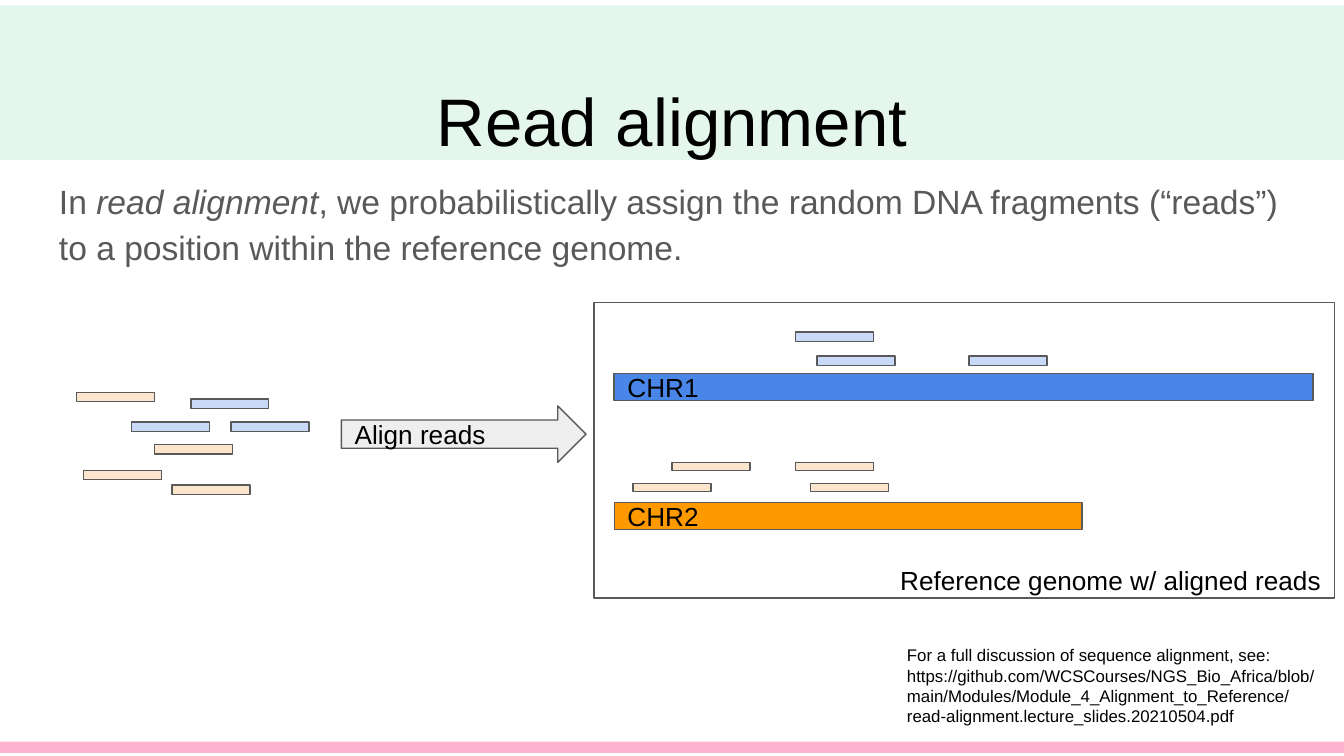
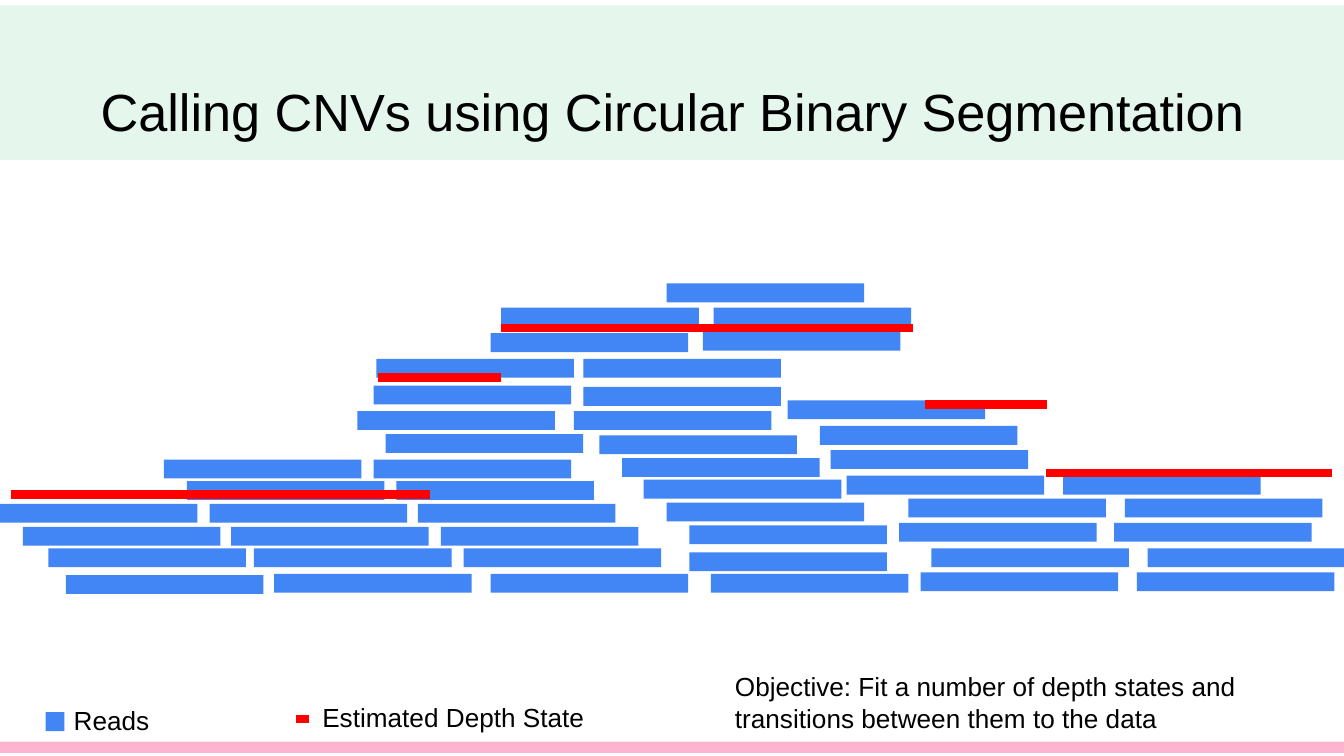
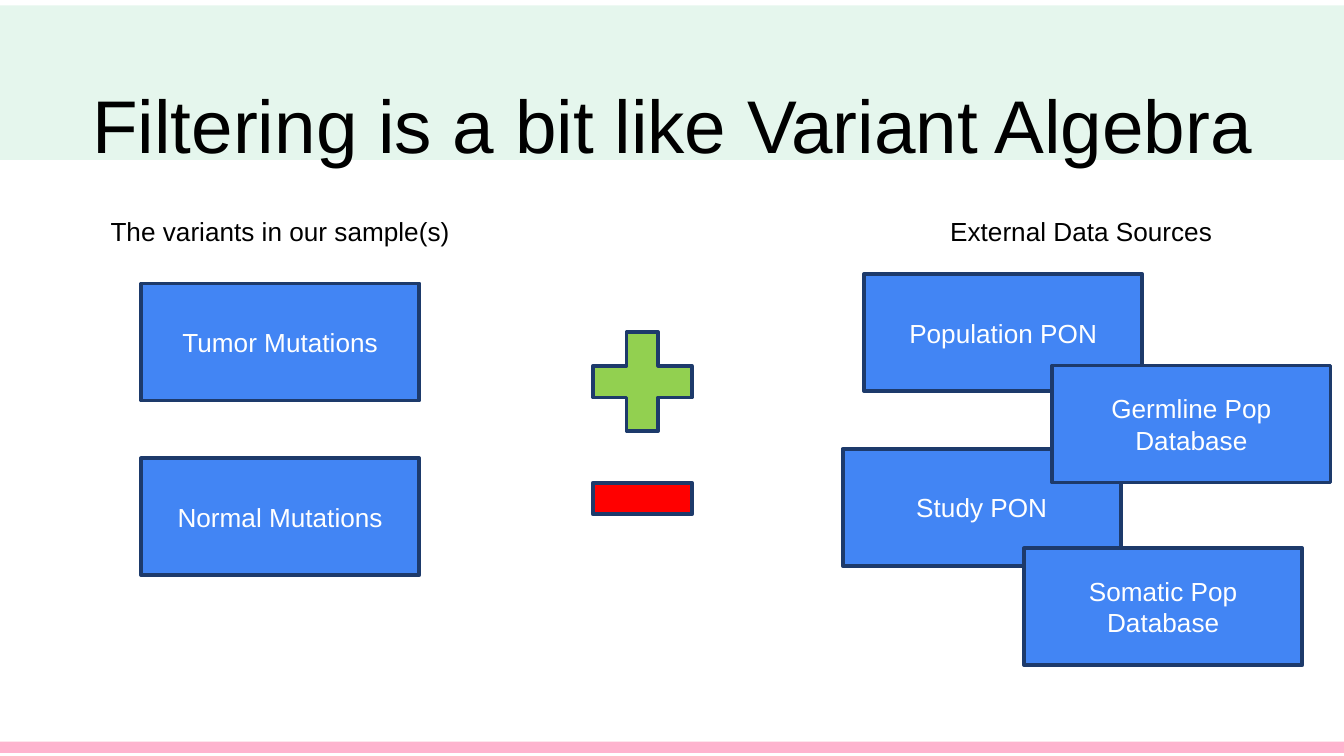
"""Build three genomics teaching slides on alignment, CNV calling and filtering."""
from dataclasses import dataclass

from lxml.etree import SubElement
from pptx import Presentation
from pptx.dml.color import RGBColor
from pptx.enum.shapes import MSO_CONNECTOR, MSO_SHAPE
from pptx.enum.text import MSO_ANCHOR, MSO_AUTO_SIZE, PP_ALIGN
from pptx.oxml.ns import qn
from pptx.util import Emu, Pt

PX = 9144
SLIDE_WIDTH = 1000


@dataclass(frozen=True)
class Theme:
    font: str = "Arial"
    black: str = "000000"
    white: str = "FFFFFF"
    grey: str = "595959"
    band: str = "00B050"
    footer: str = "FD337B"
    read: str = "4285F4"
    depth: str = "FF0000"
    navy: str = "1D3A6B"
    arrow: str = "EEEEEE"
    plus: str = "92D050"
    chr1: str = "4A86E8"
    chr1_read: str = "C9DAF8"
    chr2: str = "FF9900"
    chr2_read: str = "FCE5CD"
    band_alpha: int = 10
    footer_alpha: int = 36
    body_size: int = 18
    label_size: int = 14
    source_size: int = 9
    thin: float = 0.75
    outline: float = 2
    depth_width: float = 4.5
    footer_width: float = 6


THEME = Theme()

ALIGNMENT_TITLE = ("Read alignment", 36)
ALIGNMENT_INTRO = [
    ("In ", False),
    ("read alignment", True),
    (", we probabilistically assign the random DNA fragments (“reads”) "
     "to a position within the reference genome.", False),
]
ALIGNMENT_SOURCE = (
    "For a full discussion of sequence alignment, see: "
    "https://github.com/WCSCourses/NGS_Bio_Africa/blob/main/Modules/"
    "Module_4_Alignment_to_Reference/read-alignment.lecture_slides.20210504.pdf"
)
CHROMOSOMES = [
    {"name": "CHR1", "box": (457, 278, 520, 20), "color": THEME.chr1,
     "read_color": THEME.chr1_read, "aligned_height": 7,
     "unaligned": [(98, 314), (142, 297), (172, 314)],
     "aligned": [(592, 247), (608, 265), (721, 265)]},
    {"name": "CHR2", "box": (457, 374, 348, 20), "color": THEME.chr2,
     "read_color": THEME.chr2_read, "aligned_height": 6,
     "unaligned": [(115, 331), (57, 292), (62, 350), (128, 361)],
     "aligned": [(592, 344), (471, 360), (500, 344), (603, 360)]},
]
FRAGMENT_WIDTH, FRAGMENT_HEIGHT = 58, 7

CNV_TITLE = ("Calling CNVs using Circular Binary Segmentation", 28)
READ_WIDTH, READ_HEIGHT = 147, 14
READ_LEFTS_BY_TOP = {
    211: [496],
    229: [373, 531],
    247: [523],
    248: [365],
    267: [280, 434],
    287: [278],
    288: [434],
    298: [586],
    306: [266, 427],
    317: [610],
    323: [287],
    324: [446],
    335: [618],
    341: [463],
    342: [122, 278],
    354: [630, 791],
    357: [479],
    358: [139, 295],
    371: [676, 837],
    374: [496],
    375: [0, 156, 311],
    389: [669, 829],
    391: [513],
    392: [17, 172, 328],
    408: [36, 189, 345, 693, 854],
    411: [513],
    426: [685, 846],
    427: [204, 365, 529],
    428: [49],
}
DEPTH_STATES = [(8, 320, 368), (281, 373, 281), (373, 679, 244),
                (778, 991, 352), (688, 779, 301)]
DEPTH_KEY = (220, 230, 535)
READ_KEY = (34, 530, 14, 14)
LEGEND = [("Reads", (45, 519, 77, 34)),
          ("Estimated Depth State", (230, 517, 216, 34))]
OBJECTIVE = ("Objective: Fit a number of depth states and transitions "
             "between them to the data")

FILTER_TITLE = ("Filtering is a bit like Variant Algebra", 40)
FILTER_HEADINGS = [("The variants in our sample(s)", 66),
                   ("External Data Sources", 662)]
VARIANT_SETS = [
    ("Normal Mutations", 105, 341),
    ("Population PON", 643, 204),
    ("Study PON", 627, 334),
    ("Tumor Mutations", 105, 211),
    ("Germline Pop Database", 783, 272),
    ("Somatic Pop Database", 762, 408),
]
OPERATORS = [(MSO_SHAPE.MATH_PLUS, 234, THEME.plus),
             (MSO_SHAPE.MATH_MINUS, 321, THEME.depth)]


def emu(*lengths):
    """Turn px lengths into EMU."""
    return [Emu(length * PX) for length in lengths]


def rgb(color):
    """Turn a hex string into a colour."""
    return RGBColor.from_string(color)


def set_alpha(shape, percent):
    """Make the explicit colours of a shape partly transparent."""
    for color in shape.element.iter(qn("a:srgbClr")):
        SubElement(color, qn("a:alpha"), val=str(percent * 1000))


def write(shape, content, size, color=THEME.black, align=PP_ALIGN.LEFT,
          inset=10, spacing=None):
    """Write one paragraph, given as a string or as (text, italic) parts."""
    frame = shape.text_frame
    frame.margin_left, frame.margin_right = emu(10, 10)
    frame.margin_top, frame.margin_bottom = emu(inset, inset)
    paragraph = frame.paragraphs[0]
    paragraph.alignment = align
    if spacing:
        paragraph.line_spacing = spacing
    paragraph.font.name = THEME.font
    paragraph.font.size = Pt(size)
    paragraph.font.color.rgb = rgb(color)
    parts = [(content, False)] if isinstance(content, str) else content
    for text, italic in parts:
        run = paragraph.add_run()
        run.text = text
        if italic:
            run.font.italic = True


def add_text(slide, box, content, size, wrap=True, grow=True, **style):
    """Add a text box."""
    label = slide.shapes.add_textbox(*emu(*box))
    label.text_frame.word_wrap = wrap
    label.text_frame.auto_size = (
        MSO_AUTO_SIZE.SHAPE_TO_FIT_TEXT if grow else MSO_AUTO_SIZE.NONE)
    write(label, content, size, **style)


def add_block(slide, box, fill=None, line=None, width=THEME.thin,
              kind=MSO_SHAPE.RECTANGLE, content=None, **style):
    """Add a preset shape, optionally with a label in its middle."""
    block = slide.shapes.add_shape(kind, *emu(*box))
    block.shadow.inherit = False
    if fill:
        block.fill.solid()
        block.fill.fore_color.rgb = rgb(fill)
    else:
        block.fill.background()
    if line:
        block.line.color.rgb = rgb(line)
        block.line.width = Pt(width)
    else:
        block.line.fill.background()
    if content:
        block.text_frame.vertical_anchor = MSO_ANCHOR.MIDDLE
        write(block, content, THEME.label_size, **style)
    return block


def add_rule(slide, left, right, top, color, width):
    """Add a horizontal line."""
    rule = slide.shapes.add_connector(
        MSO_CONNECTOR.STRAIGHT, *emu(left, top, right, top))
    rule.line.color.rgb = rgb(color)
    rule.line.width = Pt(width)
    SubElement(rule.element.spPr, qn("a:effectLst"))
    return rule


def start_slide(deck, title):
    """Add a slide with the shared band, footer line and title."""
    slide = deck.slides.add_slide(deck.slide_layouts[6])
    band = add_block(slide, (0, 4, SLIDE_WIDTH, 115), THEME.band)
    set_alpha(band, THEME.band_alpha)
    footer = add_rule(slide, 0, SLIDE_WIDTH, 556, THEME.footer,
                      THEME.footer_width)
    set_alpha(footer, THEME.footer_alpha)
    add_text(slide, (34, 49, 932, 63), *title, grow=False,
             align=PP_ALIGN.CENTER)
    return slide


def build_alignment(deck):
    """Show loose reads being placed on two chromosomes."""
    slide = start_slide(deck, ALIGNMENT_TITLE)
    add_text(slide, (34, 120, 932, 374), ALIGNMENT_INTRO, THEME.body_size,
             grow=False, color=THEME.grey, spacing=1.15)
    add_text(slide, (665, 470, 328, 81), ALIGNMENT_SOURCE, THEME.source_size)
    for chromosome in CHROMOSOMES:
        add_block(slide, chromosome["box"], chromosome["color"], THEME.grey,
                  content=chromosome["name"])
        for state, height in (("unaligned", FRAGMENT_HEIGHT),
                              ("aligned", chromosome["aligned_height"])):
            for left, top in chromosome[state]:
                add_block(slide, (left, top, FRAGMENT_WIDTH, height),
                          chromosome["read_color"], THEME.grey)
    add_block(slide, (254, 302, 182, 42), THEME.arrow, THEME.grey,
              kind=MSO_SHAPE.RIGHT_ARROW, content="Align reads")
    add_block(slide, (442, 225, 551, 220), line=THEME.grey)
    add_text(slide, (660, 410, 340, 44), "Reference genome w/ aligned reads",
             THEME.label_size)


def build_cnv(deck):
    """Show stacked reads with the estimated depth states over them."""
    slide = start_slide(deck, CNV_TITLE)
    for top, lefts in READ_LEFTS_BY_TOP.items():
        for left in lefts:
            add_block(slide, (left, top, READ_WIDTH, READ_HEIGHT), THEME.read)
    for left, right, top in DEPTH_STATES + [DEPTH_KEY]:
        add_rule(slide, left, right, top, THEME.depth, THEME.depth_width)
    add_block(slide, READ_KEY, THEME.read)
    for name, box in LEGEND:
        add_text(slide, box, name, THEME.label_size, wrap=False, inset=5)
    add_text(slide, (537, 494, 443, 57), OBJECTIVE, THEME.label_size, inset=5)


def build_filtering(deck):
    """Show sample variants combined with external data sources."""
    slide = start_slide(deck, FILTER_TITLE)
    for name, left, top in VARIANT_SETS:
        add_block(slide, (left, top, 207, 87), THEME.read, THEME.navy,
                  THEME.outline, content=name, color=THEME.white,
                  align=PP_ALIGN.CENTER, inset=5)
    for heading, left in FILTER_HEADINGS:
        add_text(slide, (left, 155, 285, 34), heading, THEME.label_size,
                 align=PP_ALIGN.CENTER, inset=5)
    for kind, top, color in OPERATORS:
        add_block(slide, (428, top, 100, 100), color, THEME.navy,
                  THEME.outline, kind=kind)


def main():
    """Build and save the deck."""
    deck = Presentation()
    deck.slide_width = Emu(SLIDE_WIDTH * PX)
    deck.slide_height = Emu(deck.slide_width * 9 // 16)
    for build in (build_alignment, build_cnv, build_filtering):
        build(deck)
    deck.save("out.pptx")


if __name__ == "__main__":
    main()
